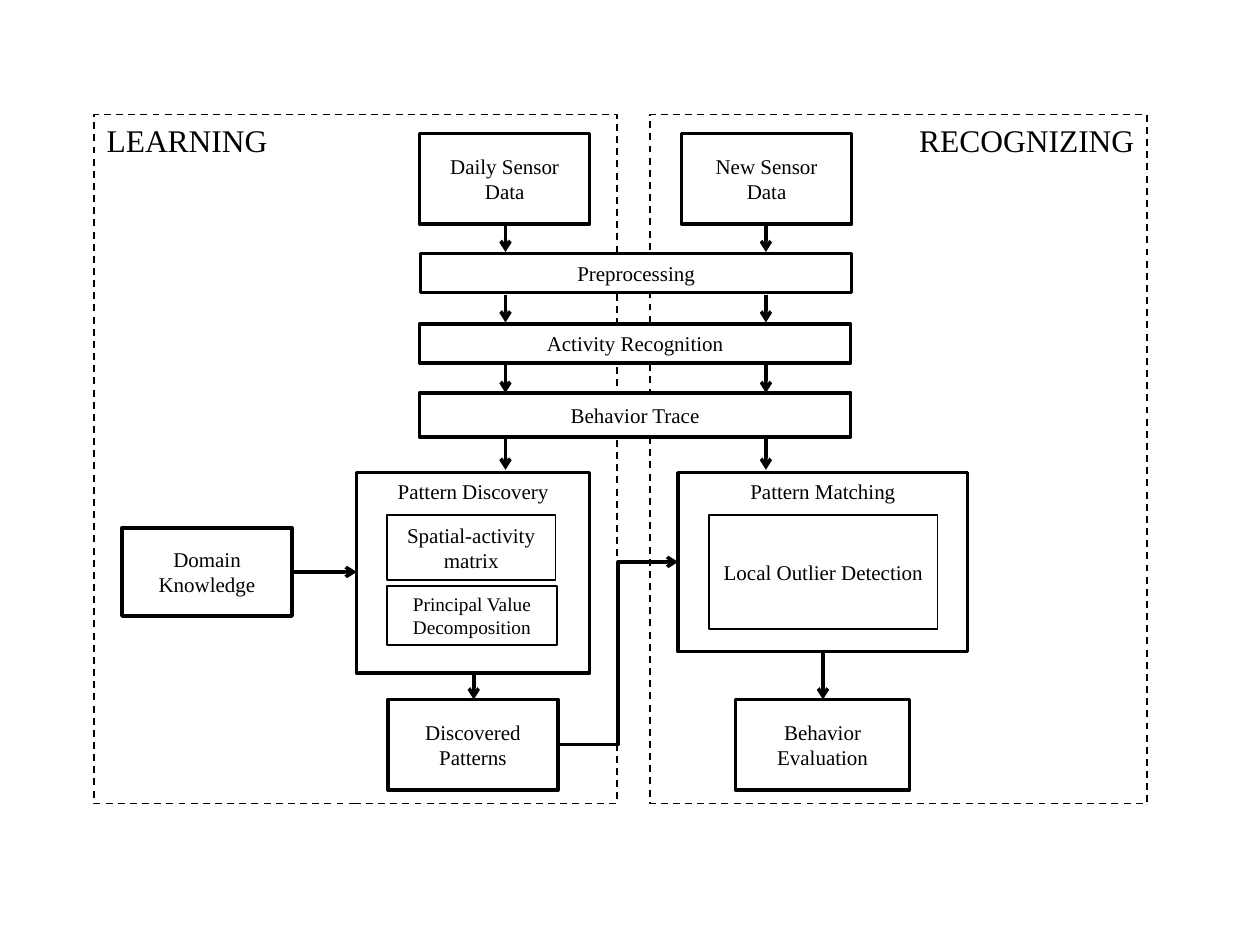
"""Build a flow diagram of behavior learning and recognizing."""
from lxml import etree
from pptx import Presentation
from pptx.dml.color import RGBColor
from pptx.enum.dml import MSO_LINE
from pptx.enum.shapes import MSO_CONNECTOR, MSO_SHAPE
from pptx.enum.text import MSO_ANCHOR, PP_ALIGN
from pptx.oxml.ns import qn
from pptx.util import Cm, Pt

COLORS = {"ink": "000000", "paper": "FFFFFF"}
FONT = "Times New Roman"

STAGES = [
    ("Daily Sensor Data", 8.46, 2.69, 3.43, 1.83),
    ("New Sensor Data", 13.74, 2.69, 3.43, 1.83),
    ("Preprocessing", 8.48, 5.11, 8.69, 0.79),
    ("Activity Recognition", 8.46, 6.53, 8.69, 0.79),
    ("Behavior Trace", 8.46, 7.92, 8.69, 0.89),
    ("Domain Knowledge", 2.46, 10.64, 3.43, 1.78),
    ("Discovered Patterns", 7.82, 14.1, 3.43, 1.83),
    ("Behavior Evaluation", 14.83, 14.1, 3.51, 1.83),
]
GROUPS = [
    ("Pattern Discovery", 7.19, 9.53, 4.7, 4.04),
    ("Pattern Matching", 13.67, 9.53, 5.84, 3.61),
]
METHODS = [
    ("Spatial-activity matrix", 7.8, 10.39, 3.4, 1.3, 12),
    ("Principal Value Decomposition", 7.8, 11.81, 3.43, 1.19, 11),
    ("Local Outlier Detection", 14.3, 10.39, 4.6, 2.29, 12),
]
FLOW_COLUMNS = (10.19, 15.44)
FLOW_GAPS = ((4.52, 5.08), (5.94, 6.5), (7.34, 7.92), (8.79, 9.47))
SINGLE_ARROWS = [
    (5.87, 11.53, 7.19, 11.53),
    (9.55, 13.54, 9.55, 14.1),
    (16.59, 13.11, 16.59, 14.1),
]


def color(name):
    return RGBColor.from_string(COLORS[name])


def add_box(slide, text, x, y, w, h, size=12, weight=2,
            anchor=MSO_ANCHOR.MIDDLE, align=PP_ALIGN.CENTER):
    box = slide.shapes.add_shape(MSO_SHAPE.RECTANGLE, Cm(x), Cm(y), Cm(w), Cm(h))
    box.shadow.inherit = False
    box.fill.solid()
    box.fill.fore_color.rgb = color("paper")
    box.line.color.rgb = color("ink")
    box.line.width = Pt(weight)
    frame = box.text_frame
    frame.word_wrap = True
    frame.vertical_anchor = anchor
    paragraph = frame.paragraphs[0]
    paragraph.alignment = align
    run = paragraph.add_run()
    run.text = text
    run.font.name = FONT
    run.font.size = Pt(size)
    run.font.color.rgb = color("ink")
    return box


def add_phase(slide, text, x, w, align):
    phase = add_box(slide, text, x, 2.31, w, 13.89, 18, 1, MSO_ANCHOR.TOP, align)
    phase.fill.background()
    phase.line.dash_style = MSO_LINE.DASH


def add_arrow(slide, x1, y1, x2, y2, kind=MSO_CONNECTOR.STRAIGHT):
    arrow = slide.shapes.add_connector(kind, Cm(x1), Cm(y1), Cm(x2), Cm(y2))
    arrow.line.color.rgb = color("ink")
    arrow.line.width = Pt(2)
    properties = arrow.element.spPr
    etree.SubElement(properties.find(qn("a:ln")), qn("a:tailEnd"), type="arrow")
    etree.SubElement(properties, qn("a:effectLst"))


def main():
    deck = Presentation()
    deck.slide_width, deck.slide_height = Cm(25.4), Cm(19.05)
    slide = deck.slides.add_slide(deck.slide_layouts[6])
    add_phase(slide, "LEARNING", 1.9, 10.54, PP_ALIGN.LEFT)
    add_phase(slide, "RECOGNIZING", 13.11, 10.01, PP_ALIGN.RIGHT)
    for stage in STAGES:
        add_box(slide, *stage)
    for group in GROUPS:
        add_box(slide, *group, anchor=MSO_ANCHOR.TOP)
    for method in METHODS:
        add_box(slide, *method, weight=1)
    for x in FLOW_COLUMNS:
        for top, bottom in FLOW_GAPS:
            add_arrow(slide, x, top, x, bottom)
    for ends in SINGLE_ARROWS:
        add_arrow(slide, *ends)
    add_arrow(slide, 11.25, 15.01, 13.67, 11.33, MSO_CONNECTOR.ELBOW)
    deck.save("out.pptx")


main()
